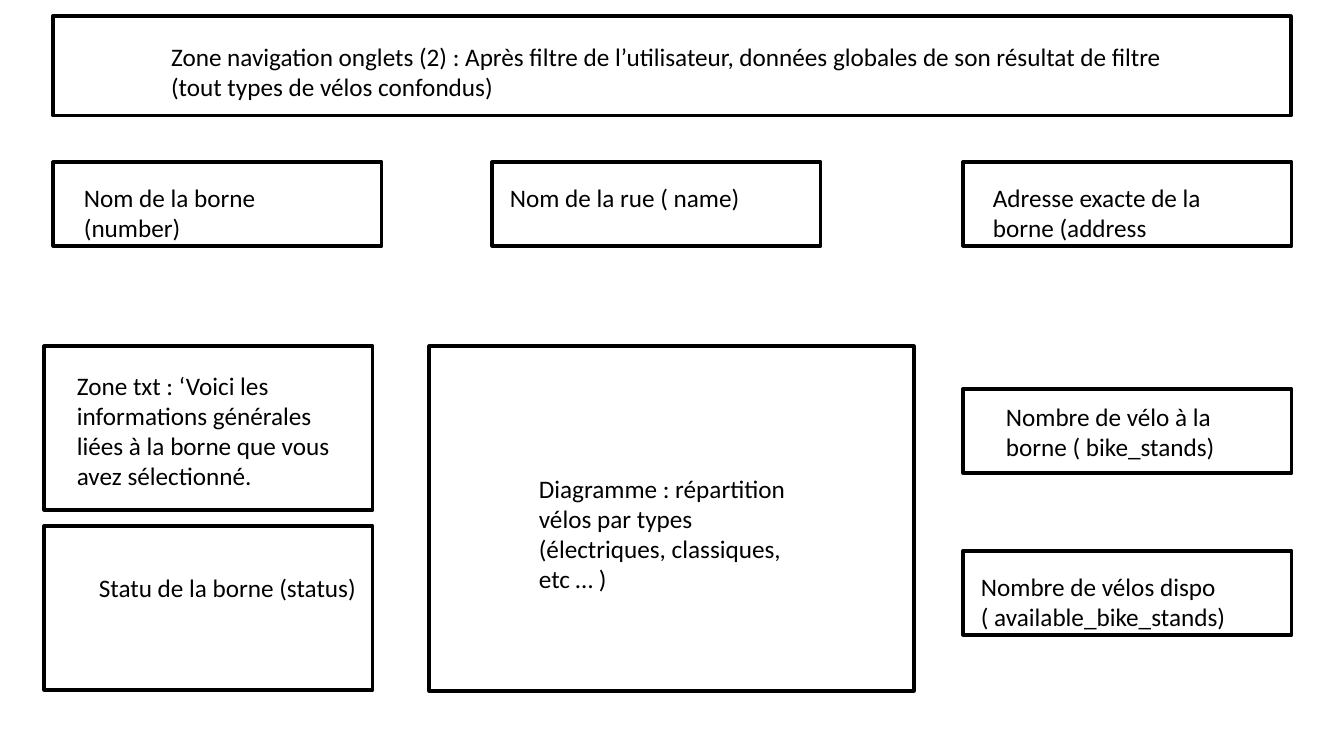
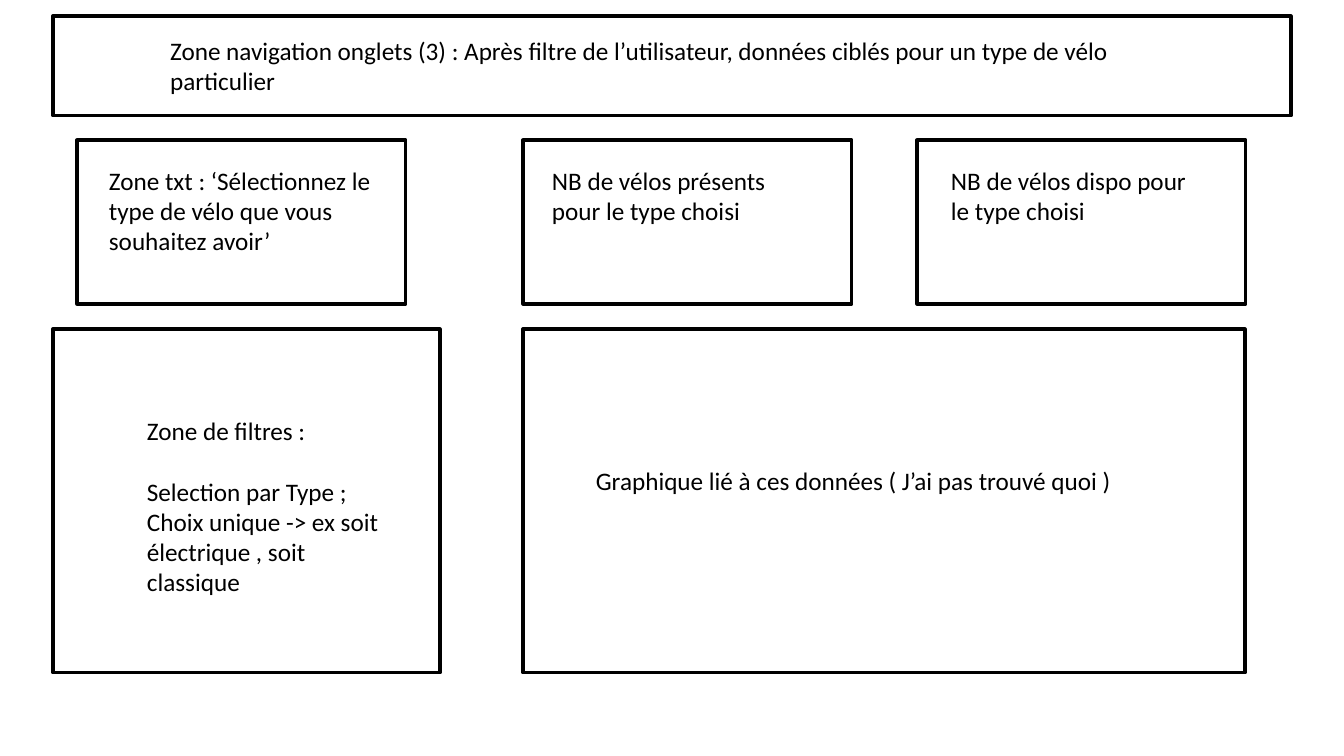
"""Build two wireframe slides of a bike-station dashboard."""
from dataclasses import dataclass

from pptx import Presentation
from pptx.dml.color import RGBColor
from pptx.enum.shapes import MSO_SHAPE
from pptx.enum.text import MSO_ANCHOR, MSO_AUTO_SIZE, PP_ALIGN
from pptx.util import Emu, Pt

RECTANGLE = MSO_SHAPE.RECTANGLE
TOP = MSO_ANCHOR.TOP
LEFT = PP_ALIGN.LEFT
NO_FIT = MSO_AUTO_SIZE.NONE
GROW = MSO_AUTO_SIZE.SHAPE_TO_FIT_TEXT
EMU_PER_PIXEL = 914400 / 100.8
TITLE_ONLY = 5


@dataclass(frozen=True)
class Theme:
    """Colours, type and line sizes shared by the slides."""
    ink: RGBColor = RGBColor(0, 0, 0)
    paper: RGBColor = RGBColor(255, 255, 255)
    font: str = "Calibri"
    text_size: Pt = Pt(18)
    outline: Pt = Pt(2.25)
    section_gap: Pt = Pt(22)


THEME = Theme()
BANNER = (53, 16, 1238, 100)
CARD_WIDTH = 329
LOW, TALL = 84, 164
CAPTION_WIDTH = 284
SHORT_CAPTION = 258
LINE_HEIGHT = 31
CAPTION_PADDING = 9


def scaled(*pixels):
    """Turn pixel lengths into EMU."""
    return [Emu(round(length * EMU_PER_PIXEL)) for length in pixels]


def add_frame(page, left, top, width, height):
    """Draw an unfilled outlined rectangle."""
    frame = page.shapes.add_shape(RECTANGLE, *scaled(left, top, width, height))
    frame.shadow.inherit = False
    frame.fill.background()
    frame.line.color.rgb = THEME.ink
    frame.line.width = THEME.outline


def write_text(text_frame, text, fit):
    """Fill a text frame in the shared text style."""
    text_frame.text = text
    text_frame.word_wrap = True
    text_frame.auto_size = fit
    text_frame.vertical_anchor = TOP
    for para in text_frame.paragraphs:
        para.alignment = LEFT
        para.line_spacing = 1.0
        para.space_before = Pt(0)
        for span in para.runs:
            span.font.name = THEME.font
            span.font.size = THEME.text_size
            span.font.color.rgb = THEME.ink


def add_caption(page, text, left, top, lines, width=CAPTION_WIDTH):
    """Add a text box sized for a number of lines."""
    height = CAPTION_PADDING + lines * LINE_HEIGHT
    box = page.shapes.add_textbox(*scaled(left, top, width, height))
    write_text(box.text_frame, text, GROW)
    return box


def add_page(deck, title, left, top, width):
    """Add a slide with its framed navigation title."""
    page = deck.slides.add_slide(deck.slide_layouts[TITLE_ONLY])
    page.background.fill.solid()
    page.background.fill.fore_color.rgb = THEME.paper
    add_frame(page, *BANNER)
    heading = page.shapes.title
    heading.left, heading.top, heading.width, heading.height = scaled(left, top, width, 72)
    write_text(heading.text_frame, title, NO_FIT)
    return page


def build_station_page(deck):
    """Build the tab with the overall data of a station."""
    page = add_page(
        deck,
        "Zone navigation onglets (2) : Après filtre de l’utilisateur, données globales "
        "de son résultat de filtre (tout types de vélos confondus)",
        161, 36, 1022)
    for left, top, height in (
            (53, 162, LOW), (492, 162, LOW), (963, 162, LOW),
            (963, 389, LOW), (963, 551, LOW),
            (44, 346, TALL), (44, 526, TALL)):
        add_frame(page, left, top, CARD_WIDTH, height)
    add_frame(page, 429, 346, 485, 345)
    for text, left, top, lines in (
            ("Nom de la borne (number)", 74, 177, 2),
            ("Nom de la rue ( name)", 500, 177, 1),
            ("Adresse exacte de la borne (address", 983, 177, 2),
            ("Nombre de vélo à la borne ( bike_stands)", 996, 396, 2),
            ("Nombre de vélos dispo \n( available_bike_stands)", 971, 566, 2),
            ("Statu de la borne (status)", 89, 567, 1),
            ("Diagramme : répartition vélos par types (électriques, classiques, etc … )",
             529, 468, 4),
            ("Zone txt : ‘Voici les informations générales liées à la borne que vous "
             "avez sélectionné.", 67, 365, 4)):
        add_caption(page, text, left, top, lines)


def build_bike_type_page(deck):
    """Build the tab with the data of one bike type."""
    page = add_page(
        deck,
        "Zone navigation onglets (3) : Après filtre de l’utilisateur, données ciblés "
        "pour un type de vélo particulier",
        160, 30, 1024)
    for left in (77, 523, 917):
        add_frame(page, left, 140, CARD_WIDTH, TALL)
    for left, width in ((53, 387), (523, 722)):
        add_frame(page, left, 329, width, 344)
    for text, left, top, lines, width in (
            ("Zone txt : ‘Sélectionnez le type de vélo que vous souhaitez avoir’",
             99, 160, 3, CAPTION_WIDTH),
            ("NB de vélos présents pour le type choisi", 542, 160, 2, SHORT_CAPTION),
            ("NB de vélos dispo pour le type choisi", 941, 160, 2, SHORT_CAPTION),
            ("Graphique lié à ces données ( J’ai pas trouvé quoi )", 586, 460, 1, 614)):
        add_caption(page, text, left, top, lines, width)
    filters = add_caption(
        page,
        "Zone de filtres :\nSelection par Type ; \n"
        "Choix unique -> ex soit électrique , soit classique",
        137, 410, 7, 268)
    filters.text_frame.paragraphs[1].space_before = THEME.section_gap


def main():
    """Build and save the deck."""
    deck = Presentation()
    deck.slide_width, deck.slide_height = scaled(1344, 756)
    build_station_page(deck)
    build_bike_type_page(deck)
    deck.save("out.pptx")


main()
